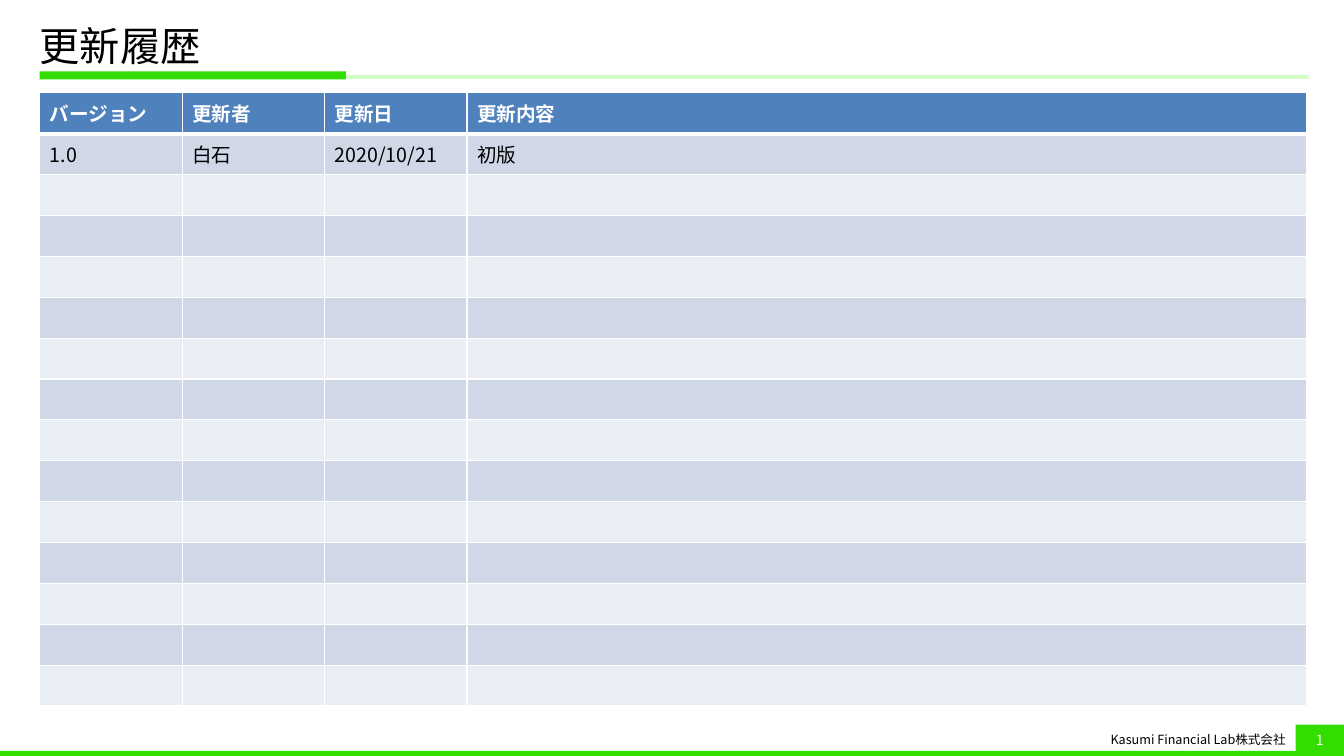
from dataclasses import dataclass

from lxml.etree import SubElement
from pptx import Presentation
from pptx.dml.color import RGBColor
from pptx.enum.shapes import MSO_SHAPE
from pptx.enum.text import MSO_ANCHOR, PP_ALIGN
from pptx.oxml.ns import qn
from pptx.util import Cm, Pt


@dataclass(frozen=True)
class Theme:
    font: str = "Noto Sans CJK JP"
    black: str = "000000"
    white: str = "FFFFFF"
    green: str = "33DD00"
    pale_green: str = "D3FFC5"
    header: str = "4F81BD"
    bands: tuple = ("D0D8E8", "E9EDF4")
    title_size: float = 28.8
    table_size: float = 14
    page_size: float = 10
    footer_size: float = 9


@dataclass(frozen=True)
class Box:
    left: float
    top: float
    width: float
    height: float

    def lengths(self):
        return Cm(self.left), Cm(self.top), Cm(self.width), Cm(self.height)


THEME = Theme()
SLIDE = Box(0, 0, 33.87, 19.05)
HEADING = Box(1, 0.5, 31.98, 1.5)
HISTORY = Box(1, 2.34, 31.93, 15.45)
FOOTER = Box(0, 18.26, SLIDE.width, 0.79)

COLUMNS = (("バージョン", 3.59), ("更新者", 3.59), ("更新日", 3.59), ("更新内容", 21.16))
REVISIONS = [("1.0", "白石", "2020/10/21", "初版")]
BLANK_ROWS = 13


def style(paragraph, size, color, bold=False):
    font = paragraph.font
    font.size = Pt(size)
    font.bold = bold
    font.color.rgb = RGBColor.from_string(color)
    font.name = THEME.font
    properties = paragraph._p.get_or_add_pPr().find(qn("a:defRPr"))
    SubElement(properties, qn("a:ea")).set("typeface", THEME.font)


def add_bar(slide, box, color):
    bar = slide.shapes.add_shape(MSO_SHAPE.RECTANGLE, *box.lengths())
    bar.shadow.inherit = False
    bar.fill.solid()
    bar.fill.fore_color.rgb = RGBColor.from_string(color)
    bar.line.fill.background()
    return bar


def add_heading(slide, box, text):
    accent_width = 7.72
    add_bar(slide, Box(box.left, box.top + 1.3, accent_width, 0.2), THEME.green)
    add_bar(slide, Box(box.left + accent_width, box.top + 1.39,
                       box.width - accent_width, 0.1), THEME.pale_green)
    title = slide.shapes.title
    title.left, title.top, title.width, title.height = Box(
        box.left, box.top, box.width, 1.43).lengths()
    frame = title.text_frame
    frame.text = text
    frame.vertical_anchor = MSO_ANCHOR.MIDDLE
    frame.margin_left, frame.margin_right = 0, Cm(0.4)
    paragraph = frame.paragraphs[0]
    paragraph.alignment = PP_ALIGN.LEFT
    paragraph.line_spacing = 0.9
    style(paragraph, THEME.title_size, THEME.black)


def set_borders(cell, bottom):
    properties = cell._tc.get_or_add_tcPr()
    sides = {"a:lnL": 1, "a:lnR": 1, "a:lnT": 1, "a:lnB": bottom}
    for index, (side, width) in enumerate(sides.items()):
        line = SubElement(properties, qn(side), w=str(Pt(width)))
        fill = SubElement(line, qn("a:solidFill"))
        SubElement(fill, qn("a:srgbClr"), val=THEME.white)
        properties.insert(index, line)


def add_history(slide, box):
    labels = tuple(label for label, _ in COLUMNS)
    blank = ("",) * len(COLUMNS)
    rows = [labels, *REVISIONS, *[blank] * BLANK_ROWS]
    table = slide.shapes.add_table(len(rows), len(COLUMNS), *box.lengths()).table
    for column, (_, width) in zip(table.columns, COLUMNS):
        column.width = Cm(width)
    for index, values in enumerate(rows):
        table.rows[index].height = Cm(box.height / len(rows))
        is_header = index == 0
        fill = THEME.header if is_header else THEME.bands[(index - 1) % 2]
        color = THEME.white if is_header else THEME.black
        for cell, value in zip(table.rows[index].cells, values):
            cell.text = value
            cell.vertical_anchor = MSO_ANCHOR.MIDDLE
            cell.fill.solid()
            cell.fill.fore_color.rgb = RGBColor.from_string(fill)
            set_borders(cell, 3 if is_header else 1)
            style(cell.text_frame.paragraphs[0], THEME.table_size, color, is_header)


def add_footer(slide, box, company, page):
    badge_width, rule_height = 1.22, 0.13
    badge_left = box.left + box.width - badge_width
    add_bar(slide, Box(box.left, box.top + box.height - rule_height,
                       box.width, rule_height), THEME.green)

    credit = slide.shapes.add_textbox(
        *Box(badge_left - 5.05, box.top + 0.03, 5.05, 0.69).lengths())
    frame = credit.text_frame
    frame.word_wrap = True
    frame.vertical_anchor = MSO_ANCHOR.MIDDLE
    frame.text = company
    frame.paragraphs[0].alignment = PP_ALIGN.RIGHT
    style(frame.paragraphs[0], THEME.footer_size, THEME.black)

    badge = add_bar(slide, Box(badge_left, box.top, badge_width, box.height), THEME.green)
    badge.text_frame.text = page
    badge.text_frame.vertical_anchor = MSO_ANCHOR.MIDDLE
    badge.text_frame.paragraphs[0].alignment = PP_ALIGN.CENTER
    style(badge.text_frame.paragraphs[0], THEME.page_size, THEME.white)


def main():
    presentation = Presentation()
    presentation.slide_width = Cm(SLIDE.width)
    presentation.slide_height = Cm(SLIDE.height)
    slide = presentation.slides.add_slide(presentation.slide_layouts[5])
    add_heading(slide, HEADING, "更新履歴")
    add_history(slide, HISTORY)
    add_footer(slide, FOOTER, "Kasumi Financial Lab株式会社", "1")
    presentation.save("out.pptx")


if __name__ == "__main__":
    main()
